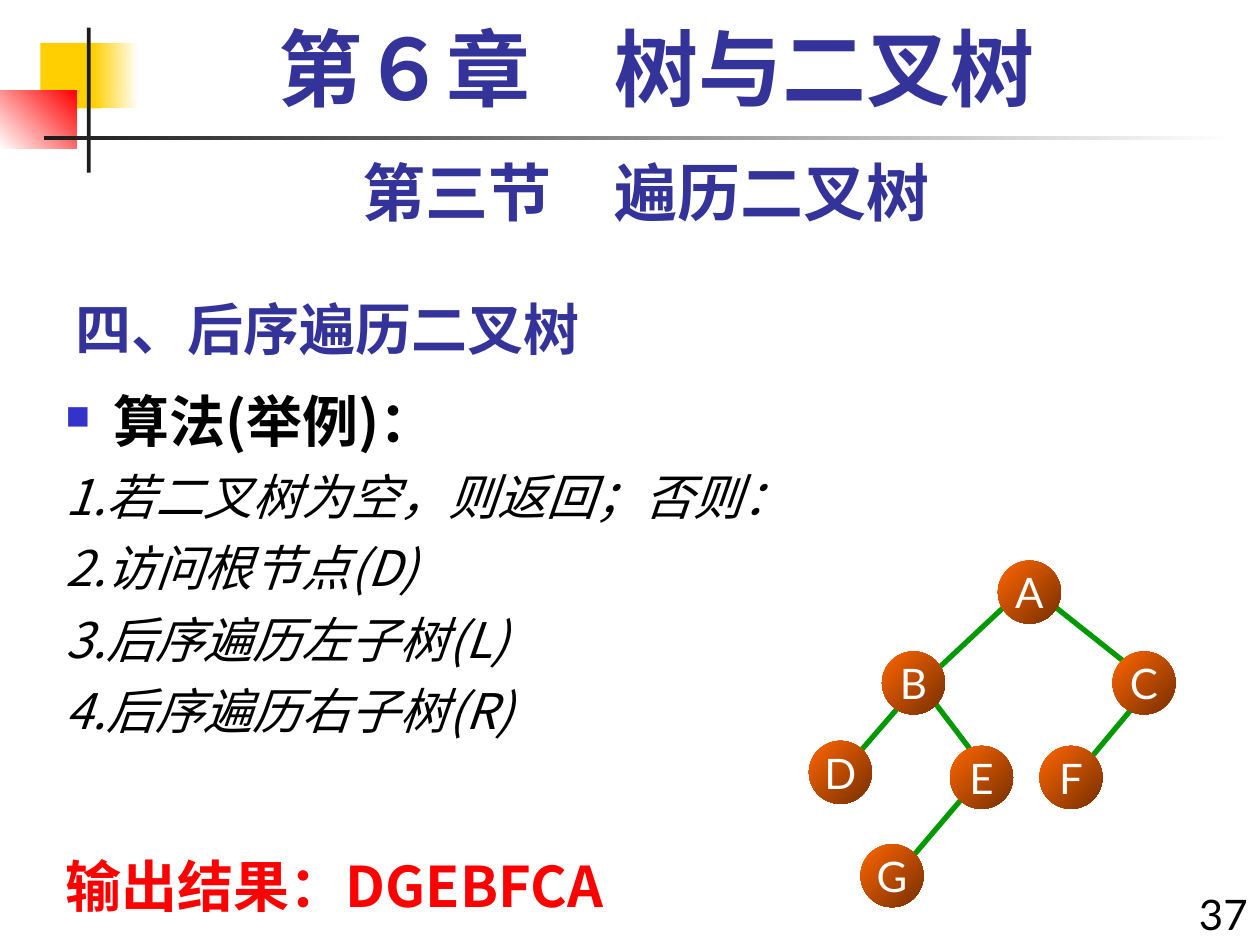
from pptx import Presentation
from pptx.dml.color import RGBColor
from pptx.enum.shapes import MSO_CONNECTOR, MSO_SHAPE
from pptx.enum.text import MSO_ANCHOR, PP_ALIGN
from pptx.oxml.ns import qn
from pptx.util import Inches, Pt
from lxml.etree import SubElement

GOLD = RGBColor(0xFF, 0xCF, 0x01)
RED = RGBColor(0xFF, 0x00, 0x00)
WHITE = RGBColor(0xFF, 0xFF, 0xFF)
BLACK = RGBColor(0x00, 0x00, 0x00)
INK = RGBColor(0x1C, 0x1C, 0x1C)
NAVY = RGBColor(0x33, 0x33, 0x99)
GREEN = RGBColor(0x00, 0x99, 0x00)
ORANGE = RGBColor(0xFF, 0x66, 0x00)
BROWN = RGBColor(0x76, 0x2F, 0x00)

CJK = "Noto Sans CJK SC"
LATIN = "Lato"
SERIF = "Times New Roman"
SIZE = 0.5  # node diameter

# Left and top of each tree node
NODES = {
    "A": (7.92, 4.45), "B": (7, 5.17), "C": (8.83, 5.17), "D": (6.42, 5.88),
    "E": (7.54, 5.92), "F": (8.25, 5.92), "G": (6.83, 6.7),
}
# Start and end of each tree branch
EDGES = [
    (8.29, 4.75, 8.92, 5.25), (8.04, 4.75, 7.42, 5.33),
    (7.29, 5.43, 6.83, 5.96), (7.33, 5.46, 7.71, 5.96),
    (9.12, 5.46, 8.67, 6), (7.71, 6.25, 7.25, 6.79),
]
STEPS = ["1.若二叉树为空，则返回；否则：", "2.访问根节点(D)",
         "3.后序遍历左子树(L)", "4.后序遍历右子树(R)"]


def add_shape(shapes, kind, box, first, last=None, angle=0):
    """Add a borderless shape, with a gradient if last is given."""
    shape = shapes.add_shape(kind, *map(Inches, box))
    shape.shadow.inherit = False
    shape.line.fill.background()
    fill = shape.fill
    if last is None:
        fill.solid()
        fill.fore_color.rgb = first
    else:
        fill.gradient()
        fill.gradient_angle = angle
        for stop, color in zip(fill.gradient_stops, (first, last)):
            stop.color.rgb = color
    return shape


def set_font(para, name, size, color, bold=False, slant=False):
    font = para.font
    font.name, font.size = name, Pt(size)
    font.bold, font.italic = bold, slant
    font.color.rgb = color


def add_box(slide, box):
    frame = slide.shapes.add_textbox(*map(Inches, box)).text_frame
    frame.word_wrap = True
    return frame


def add_label(slide, box, text, name, size, color, align, bold=True):
    frame = add_box(slide, box)
    para = frame.paragraphs[0]
    para.text = text
    para.alignment = align
    set_font(para, name, size, color, bold)
    return frame


def add_bullet(para):
    props = para._p.get_or_add_pPr()
    props.set("marL", str(Inches(0.38)))
    props.set("indent", str(Inches(-0.38)))
    color = SubElement(props, qn("a:buClr"))
    SubElement(color, qn("a:srgbClr"), val="3333CC")
    SubElement(props, qn("a:buSzPct"), val="60000")
    SubElement(props, qn("a:buChar"), char="■")


def add_body(slide):
    frame = add_box(slide, (0.42, 3.08, 9.58, 4.42))
    head = frame.paragraphs[0]
    head.text = "算法(举例)："
    add_bullet(head)
    set_font(head, CJK, 32, BLACK, bold=True)
    for step in STEPS:
        para = frame.add_paragraph()
        para.text = step
        para.space_before = Pt(10.5)
        set_font(para, CJK, 28, BLACK, slant=True)
    result = frame.add_paragraph()
    result.text = "输出结果：DGEBFCA"
    result.space_before = Pt(68)
    set_font(result, CJK, 32, RED, bold=True)
    for para in frame.paragraphs:
        para.line_spacing = 0.9


def add_edge(shapes, ends):
    line = shapes.add_connector(MSO_CONNECTOR.STRAIGHT, *map(Inches, ends))
    line.line.color.rgb = GREEN
    line.line.width = Pt(3)
    SubElement(line._element.spPr, qn("a:effectLst"))


def add_node(shapes, name, left, top):
    node = add_shape(shapes, MSO_SHAPE.OVAL, (left, top, SIZE, SIZE),
                     ORANGE, BROWN, 315)
    frame = node.text_frame
    frame.word_wrap = False
    frame.margin_left = frame.margin_right = 0
    frame.vertical_anchor = MSO_ANCHOR.MIDDLE
    para = frame.paragraphs[0]
    para.text = name
    para.alignment = PP_ALIGN.CENTER
    set_font(para, LATIN, 24, WHITE)


def add_decor(shapes):
    rect = MSO_SHAPE.RECTANGLE
    add_shape(shapes, rect, (0.32, 0.34, 0.48, 0.52), GOLD)
    add_shape(shapes, rect, (0.74, 0.34, 0.36, 0.52), GOLD, WHITE)
    add_shape(shapes, rect, (0, 0.72, 0.61, 0.46), WHITE, RED, 45)
    add_shape(shapes, rect, (0.69, 0.22, 0.03, 1.15), INK)
    add_shape(shapes, rect, (0.35, 1.08, 9.45, 0.03), INK, WHITE)


def main():
    deck = Presentation()
    deck.slide_width, deck.slide_height = Inches(10), Inches(7.5)
    slide = deck.slides.add_slide(deck.slide_layouts[6])
    add_decor(slide.shapes)

    # Headings and page number
    title = add_label(slide, (0.5, 2.17, 6.25, 0.75), "四、后序遍历二叉树",
                      CJK, 32, NAVY, PP_ALIGN.LEFT)
    title.vertical_anchor = MSO_ANCHOR.BOTTOM
    add_label(slide, (9.33, 7, 0.67, 0.59), "37",
              LATIN, 24, BLACK, PP_ALIGN.RIGHT, bold=False)
    add_label(slide, (0.5, 1.17, 9.25, 0.7), "第三节　遍历二叉树",
              LATIN, 36, NAVY, PP_ALIGN.CENTER)
    chapter = add_label(slide, (0.67, 0.17, 9.08, 0.83), "第６章　树与二叉树",
                        SERIF, 48, NAVY, PP_ALIGN.CENTER)
    chapter.paragraphs[0].line_spacing = 0.9

    add_body(slide)

    # Binary tree, branches behind nodes
    tree = slide.shapes.add_group_shape().shapes
    for ends in EDGES:
        add_edge(tree, ends)
    for name, spot in NODES.items():
        add_node(tree, name, *spot)

    deck.save("out.pptx")


if __name__ == "__main__":
    main()
